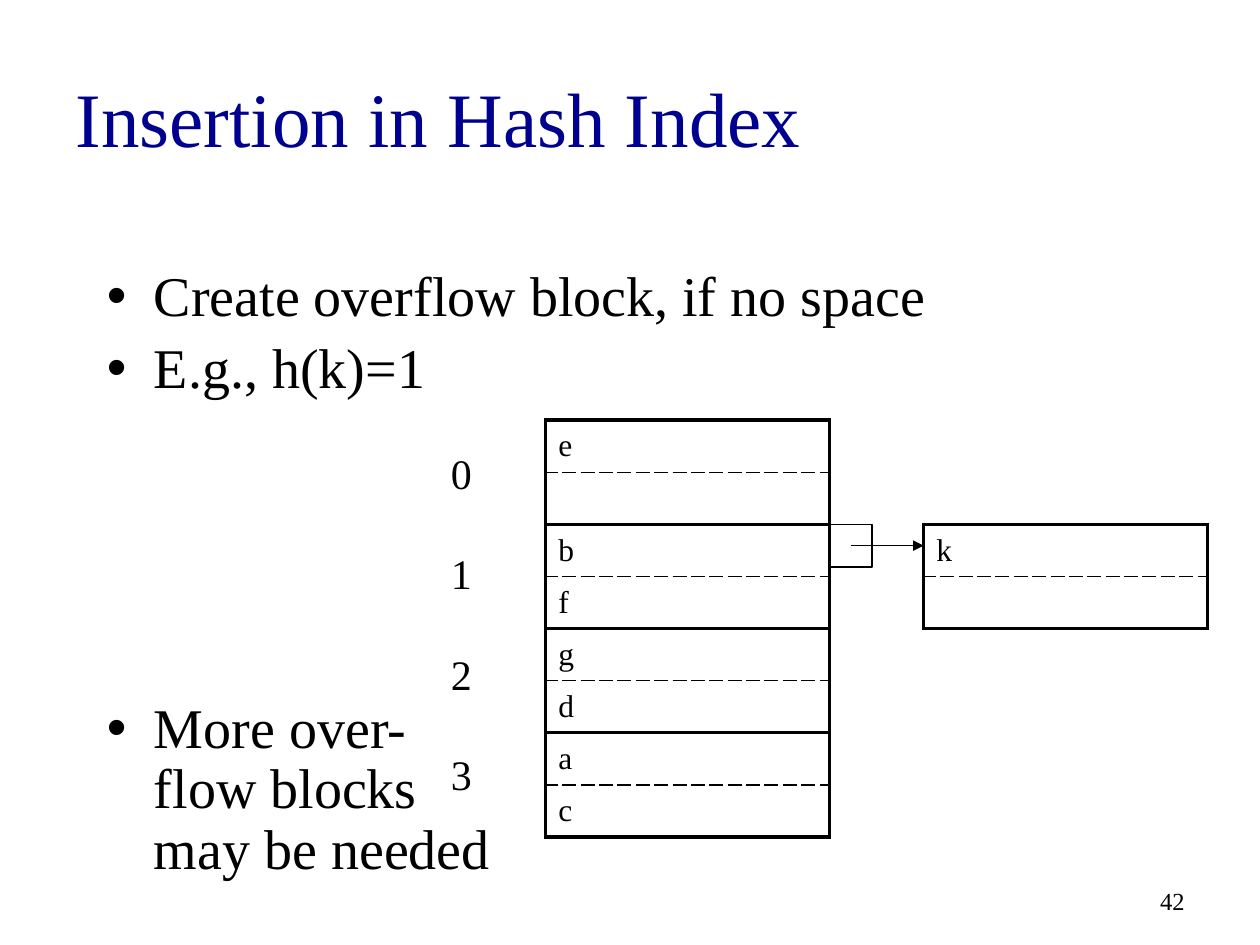
from lxml import etree
from pptx import Presentation
from pptx.dml.color import RGBColor
from pptx.enum import shapes, text
from pptx.oxml import ns
from pptx.util import Cm, Pt

COLORS = {"ink": "000000", "title": "000090"}
FONT = "Times New Roman"
ROW_HEIGHT = 1.05
BLOCK_WIDTH = 5.72


def rgb(name):
    return RGBColor.from_string(COLORS[name])


def add_xml(parent, tag, **attributes):
    return etree.SubElement(parent, ns.qn(tag), attributes)


def style(para, size, color="ink", align=text.PP_ALIGN.LEFT):
    para.alignment = align
    para.font.size = Pt(size)
    para.font.name = FONT
    para.font.color.rgb = rgb(color)


def place(shape, left, top, width, height):
    shape.left, shape.top = Cm(left), Cm(top)
    shape.width, shape.height = Cm(width), Cm(height)


def add_title(page, wording, box):
    title = page.shapes.title
    place(title, *box)
    frame = title.text_frame
    frame.auto_size = text.MSO_AUTO_SIZE.NONE
    frame.vertical_anchor = text.MSO_ANCHOR.MIDDLE
    frame.text = wording
    style(frame.paragraphs[0], 44, "title")


def add_bullets(page, items, box):
    """Each item is its wording and the space before it in points."""
    body = page.placeholders[1]
    place(body, *box)
    frame = body.text_frame
    frame.auto_size = text.MSO_AUTO_SIZE.NONE
    for index, (wording, space) in enumerate(items):
        para = frame.paragraphs[0] if index == 0 else frame.add_paragraph()
        para.text = wording
        para.line_spacing = 0.9
        para.space_before = Pt(space)
        props = para._p.get_or_add_pPr()
        props.set("marL", str(Cm(0.95)))
        props.set("indent", str(-Cm(0.95)))
        add_xml(props, "a:buChar", char="•")
        style(para, 32)


def add_label(page, wording, size, box, align=text.PP_ALIGN.LEFT):
    label = page.shapes.add_textbox(*map(Cm, box))
    frame = label.text_frame
    frame.word_wrap = True
    frame.vertical_anchor = text.MSO_ANCHOR.MIDDLE
    frame.text = wording
    style(frame.paragraphs[0], size, align=align)


def set_border(cell, side, width, dash):
    line = add_xml(cell._tc.get_or_add_tcPr(), f"a:ln{side}", w=str(Pt(width)))
    add_xml(add_xml(line, "a:solidFill"), "a:srgbClr", val=COLORS["ink"])
    add_xml(line, "a:prstDash", val=dash)


def add_blocks(page, keys, left, top):
    """Stack of two-row blocks, with a dashed line inside each block."""
    size = map(Cm, (left, top, BLOCK_WIDTH, ROW_HEIGHT * len(keys)))
    table = page.shapes.add_table(len(keys), 1, *size).table
    table.first_row = table.horz_banding = False
    for index, key in enumerate(keys):
        table.rows[index].height = Cm(ROW_HEIGHT)
        cell = table.cell(index, 0)
        inner = "B" if index % 2 == 0 else "T"
        for side in "LRTB":
            width, dash = (1, "lgDash") if side == inner else (2.25, "solid")
            set_border(cell, side, width, dash)
        cell.fill.background()
        cell.vertical_anchor = text.MSO_ANCHOR.MIDDLE
        cell.text = key
        style(cell.text_frame.paragraphs[0], 18)


def add_pointer(page, left, top, side, reach):
    """Pointer cell with an arrow from its centre to the overflow block."""
    cell = page.shapes.add_shape(
        shapes.MSO_SHAPE.RECTANGLE, Cm(left), Cm(top), Cm(side), Cm(side))
    cell.shadow.inherit = False
    cell.fill.background()
    cell.line.color.rgb = rgb("ink")
    cell.line.width = Pt(0.75)

    middle = Cm(top + side / 2)
    arrow = page.shapes.add_connector(
        shapes.MSO_CONNECTOR.STRAIGHT,
        Cm(left + side / 2), middle, Cm(left + reach), middle)
    arrow.line.color.rgb = rgb("ink")
    arrow.line.width = Pt(0.75)
    add_xml(arrow.line._get_or_add_ln(), "a:tailEnd", type="triangle")
    add_xml(arrow._element.spPr, "a:effectLst")


def add_hash_index(page, left, top):
    # Bucket numbers
    for bucket in range(4):
        add_label(page, str(bucket), 24,
                  (left - 2.16, top + 0.43 + 2.02 * bucket, 0.94, 1.27))
    # Buckets, and the overflow block of bucket 1
    overflow_top = top + 2 * ROW_HEIGHT
    add_blocks(page, ["e", "", "b", "f", "g", "d", "a", "c"], left, top)
    add_blocks(page, ["k", ""], left + 7.62, overflow_top)
    add_pointer(page, left + BLOCK_WIDTH, overflow_top, 0.86, 1.9)


def main():
    deck = Presentation()
    deck.slide_width, deck.slide_height = Cm(25.4), Cm(19.05)
    page = deck.slides.add_slide(deck.slide_layouts[1])

    add_title(page, "Insertion in Hash Index", (1.27, 0.76, 22.86, 3.18))
    add_bullets(page, [
        ("Create overflow block, if no space", 0),
        ("E.g., h(k)=1", 6.4),
        ("More over-\vflow blocks\vmay be needed", 171),
    ], (1.9, 5.28, 21.6, 12.9))
    add_hash_index(page, 11, 8.47)
    add_label(page, "42", 14, (18.2, 17.65, 5.93, 1.02), text.PP_ALIGN.RIGHT)

    deck.save("out.pptx")


if __name__ == "__main__":
    main()
